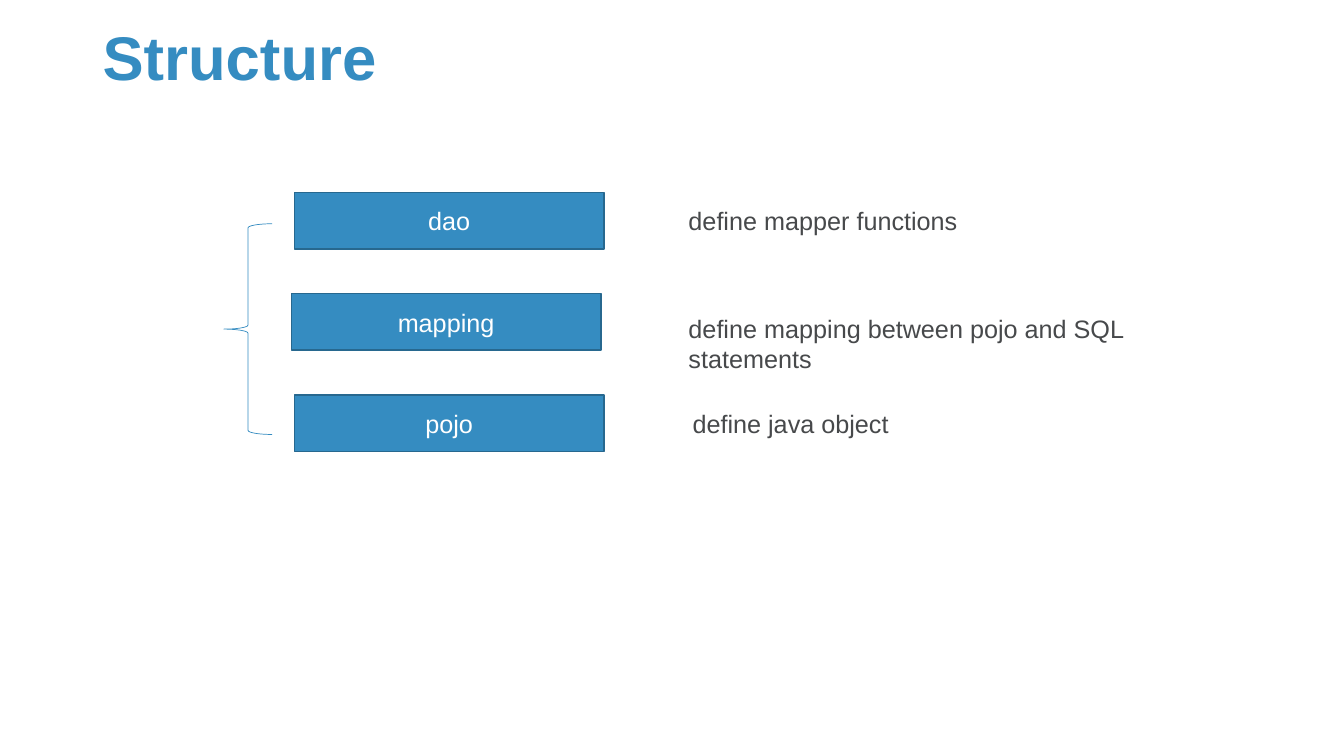
from pptx import Presentation
from pptx.dml.color import RGBColor
from pptx.enum.shapes import MSO_SHAPE
from pptx.enum.text import MSO_ANCHOR, PP_ALIGN
from pptx.util import Inches, Pt

RECTANGLE, LEFT_BRACE = MSO_SHAPE.RECTANGLE, MSO_SHAPE.LEFT_BRACE
MIDDLE, TOP = MSO_ANCHOR.MIDDLE, MSO_ANCHOR.TOP
CENTER, LEFT = PP_ALIGN.CENTER, PP_ALIGN.LEFT

BLUE, DARK_BLUE, GREY, WHITE = "358CC1", "27688F", "47494B", "FFFFFF"


def color(value):
    return RGBColor.from_string(value)


def write(box, text, size, ink, align=LEFT, anchor=TOP, bold=False):
    frame = box.text_frame
    frame.word_wrap = True
    frame.vertical_anchor = anchor
    frame.text = text
    para = frame.paragraphs[0]
    para.alignment = align
    font = para.runs[0].font
    font.name, font.size, font.bold = "Arial", Pt(size), bold
    font.color.rgb = color(ink)


deck = Presentation()
deck.slide_width, deck.slide_height = Inches(13.33), Inches(7.5)
page = deck.slides.add_slide(deck.slide_layouts[6])

title = page.shapes.add_textbox(Inches(0.92), Inches(0.2), Inches(11.5), Inches(0.8))
write(title, "Structure", 44, BLUE, anchor=MIDDLE, bold=True)
title.text_frame.paragraphs[0].line_spacing = 0.9

FIRST_ROW, ROW_STEP = 1.91, 1.005
PACKAGE_COLUMN, NOTE_COLUMN = 2.92, 6.73
packages = [
    ("dao", 0, "define mapper functions", 0, 0.08, 0.4),
    ("mapping", -0.03, "define mapping between pojo and SQL statements", 0, 0.14, 0.71),
    ("pojo", 0, "define java object", 0.04, 0.08, 0.4),
]
for row, (name, shift, note, note_shift, drop, height) in enumerate(packages):
    top = FIRST_ROW + row * ROW_STEP
    box = page.shapes.add_shape(
        RECTANGLE, Inches(PACKAGE_COLUMN + shift), Inches(top), Inches(3.07), Inches(0.56))
    box.shadow.inherit = False
    box.fill.solid()
    box.fill.fore_color.rgb = color(BLUE)
    box.line.color.rgb = color(DARK_BLUE)
    box.line.width = Pt(1)
    write(box, name, 18, WHITE, CENTER, MIDDLE)

    label = page.shapes.add_textbox(
        Inches(NOTE_COLUMN + note_shift), Inches(top + drop), Inches(4.69), Inches(height))
    write(label, note, 18, GREY)

brace = page.shapes.add_shape(
    LEFT_BRACE, Inches(2.22), Inches(2.22), Inches(0.48), Inches(2.09))
brace.shadow.inherit = False
brace.fill.background()
brace.line.color.rgb = color(BLUE)
brace.line.width = Pt(0.5)

deck.save("out.pptx")
